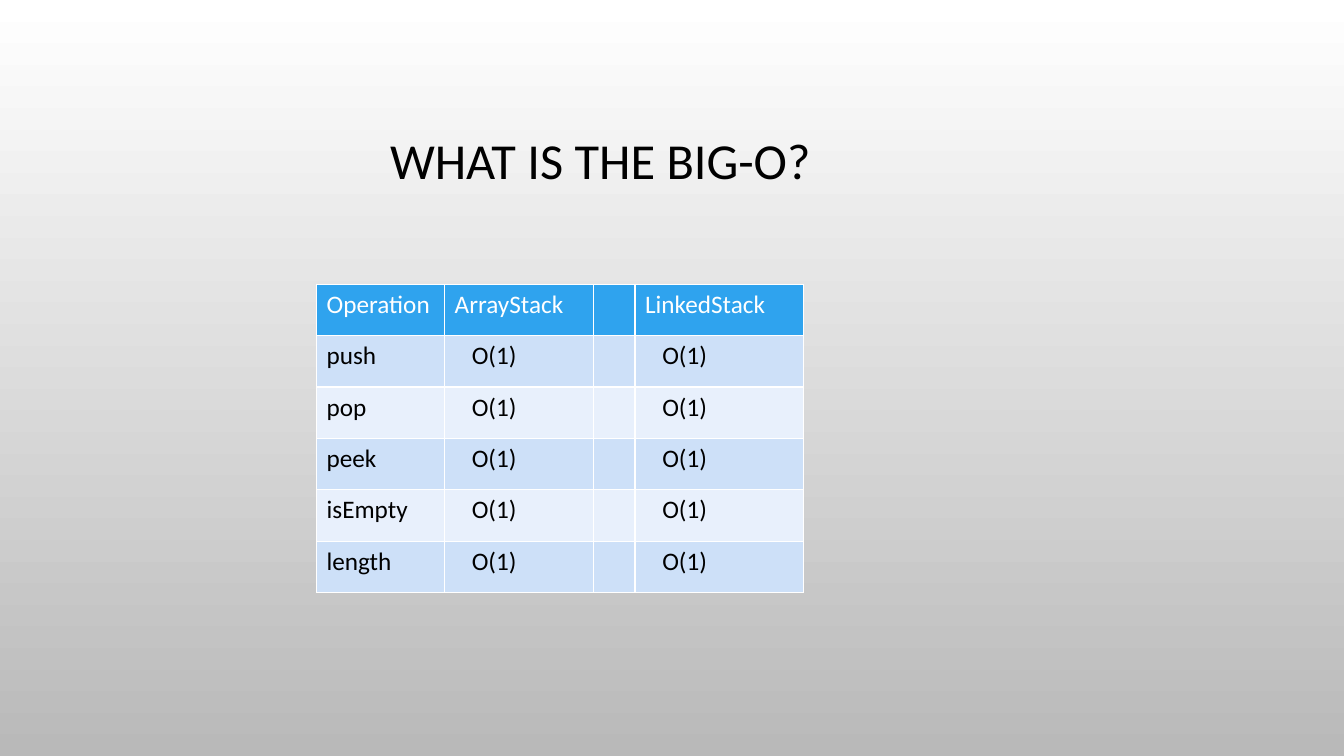
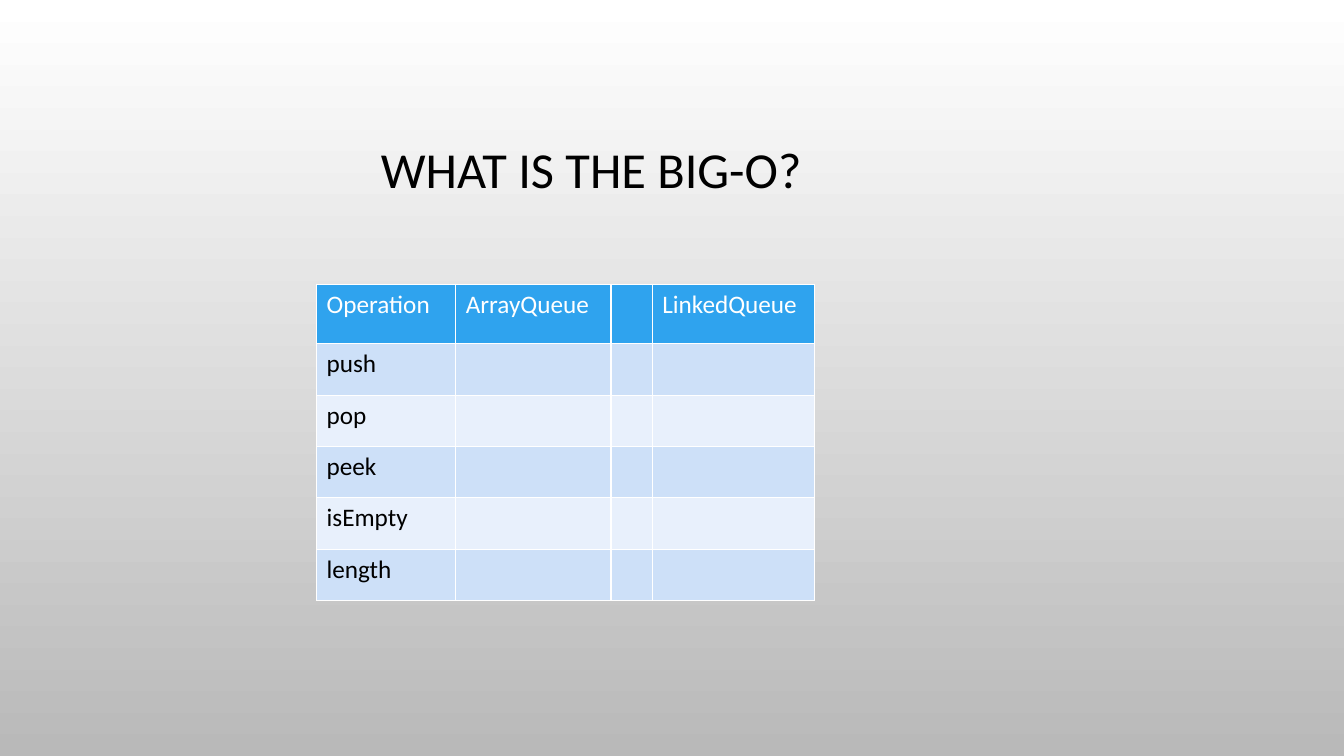
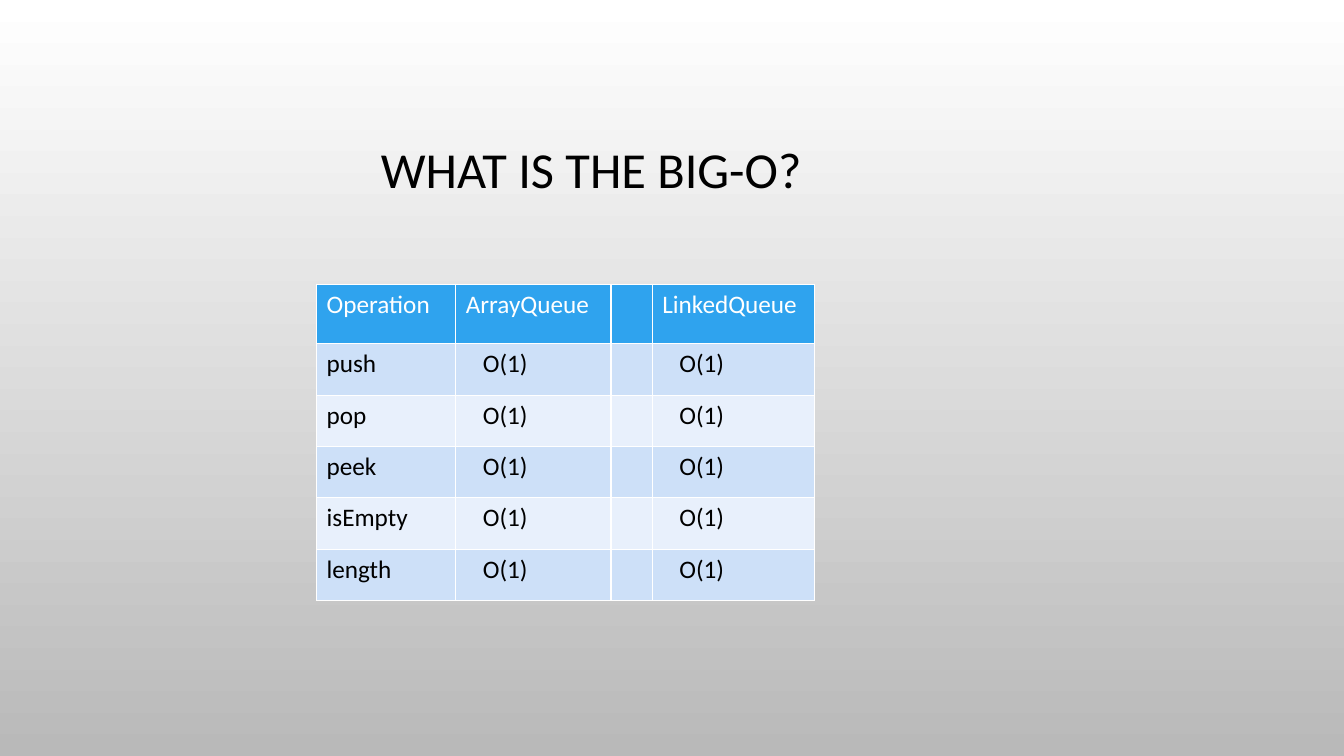
import pptx
import pptx.dml.color
import pptx.enum.text
import pptx.util

Inches = pptx.util.Inches
RGBColor = pptx.dml.color.RGBColor

WHITE = RGBColor(0xFF, 0xFF, 0xFF)
BLACK = RGBColor(0x00, 0x00, 0x00)
GREY = RGBColor(0xB9, 0xB9, 0xB9)
HEADER_BLUE = RGBColor(0x2F, 0xA3, 0xEE)
BAND_BLUE = RGBColor(0xCD, 0xE0, 0xF8)
BAND_PALE = RGBColor(0xE8, 0xF0, 0xFC)

TITLE = "WHAT IS THE BIG-O?"
OPERATIONS = ["push", "pop", "peek", "isEmpty", "length"]
TABLE_LEFT, TABLE_TOP = 3.14, 2.82
ROW_HEIGHT = 0.51
COST_MARGIN = 0.27

STACK = {
    "title_at": (0.29, 0.74),
    "headings": ["Operation", "ArrayStack", "", "LinkedStack"],
    "widths": [1.27, 1.48, 0.23, 1.67],
    "header_height": ROW_HEIGHT,
}
QUEUE = {
    "title_at": (0.2, 0.83),
    "headings": ["Operation", "ArrayQueue", "", "LinkedQueue"],
    "widths": [1.38, 1.54, 0.23, 1.61],
    "header_height": 0.59,
}
PAGES = [(STACK, "O(1)"), (QUEUE, ""), (QUEUE, "O(1)")]


def write(paragraph, text, size, color):
    span = paragraph.add_run()
    span.text = text
    span.font.color.rgb = color
    formats = {"name": "Calibri", "size": pptx.util.Pt(size), "bold": False}
    for name, value in formats.items():
        setattr(span.font, name, value)


deck = pptx.Presentation()
deck.slide_width, deck.slide_height = Inches(13.33), Inches(7.5)

background = deck.slide_master.background.fill
background.gradient()
background.gradient_angle = 270
for stop, color in zip(background.gradient_stops, (WHITE, GREY)):
    stop.color.rgb = color

for layout, cost in PAGES:
    page = deck.slides.add_slide(deck.slide_layouts[6])

    left, top = layout["title_at"]
    box = page.shapes.add_textbox(Inches(left), Inches(top), Inches(11.33), Inches(1.75))
    box.text_frame.word_wrap = True
    box.text_frame.vertical_anchor = pptx.enum.text.MSO_ANCHOR.MIDDLE
    para = box.text_frame.paragraphs[0]
    para.alignment = pptx.enum.text.PP_ALIGN.CENTER
    para.line_spacing = 0.9
    write(para, TITLE, 36, BLACK)

    rows = [layout["headings"]] + [[name, cost, "", cost] for name in OPERATIONS]
    widths = layout["widths"]
    heights = [layout["header_height"]] + [ROW_HEIGHT] * len(OPERATIONS)
    table = page.shapes.add_table(
        len(rows), len(widths), Inches(TABLE_LEFT), Inches(TABLE_TOP),
        Inches(sum(widths)), Inches(sum(heights))).table
    for column, width in zip(table.columns, widths):
        column.width = Inches(width)
    for row, height in zip(table.rows, heights):
        row.height = Inches(height)

    for row_number, texts in enumerate(rows):
        is_header = row_number == 0
        band = BAND_BLUE if row_number % 2 else BAND_PALE
        for column_number, text in enumerate(texts):
            cell = table.cell(row_number, column_number)
            cell.fill.solid()
            cell.fill.fore_color.rgb = HEADER_BLUE if is_header else band
            if not is_header and column_number > 0:
                cell.margin_left = Inches(COST_MARGIN)
            if text:
                write(cell.text_frame.paragraphs[0], text, 18, WHITE if is_header else BLACK)

deck.save("out.pptx")
